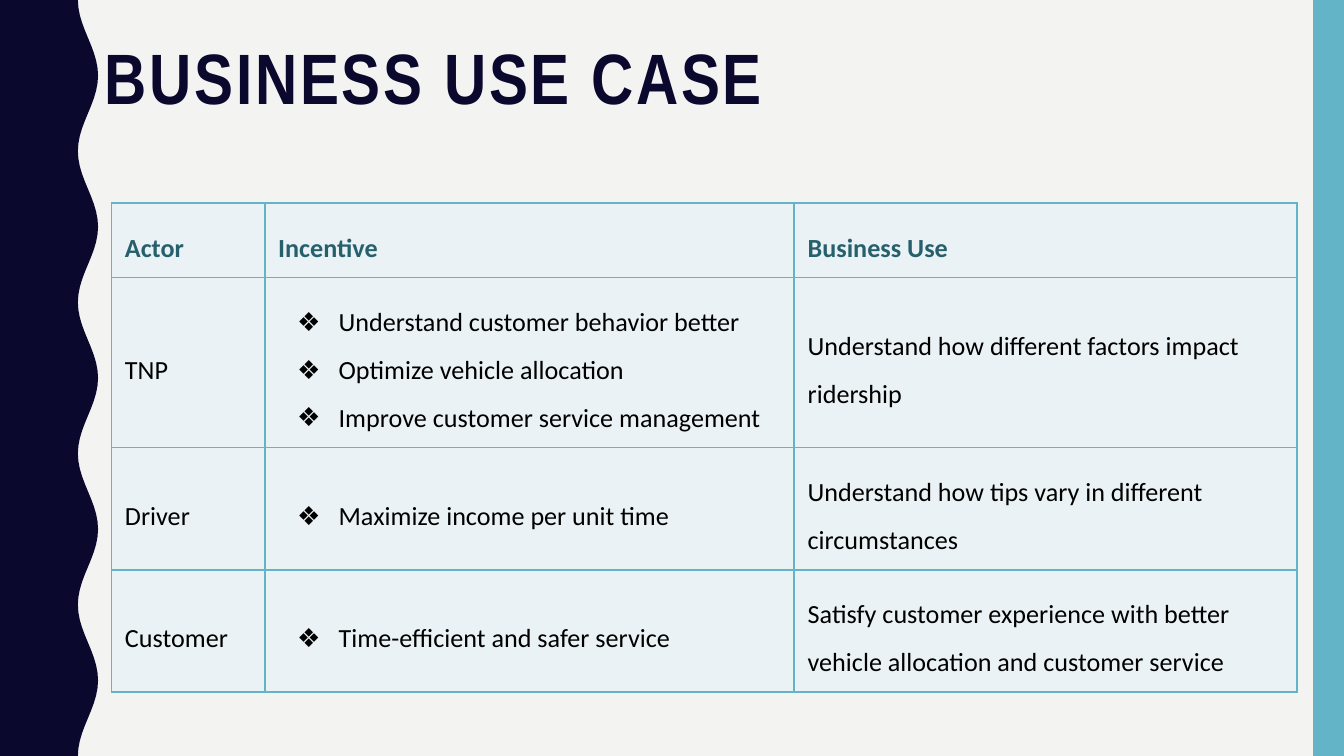
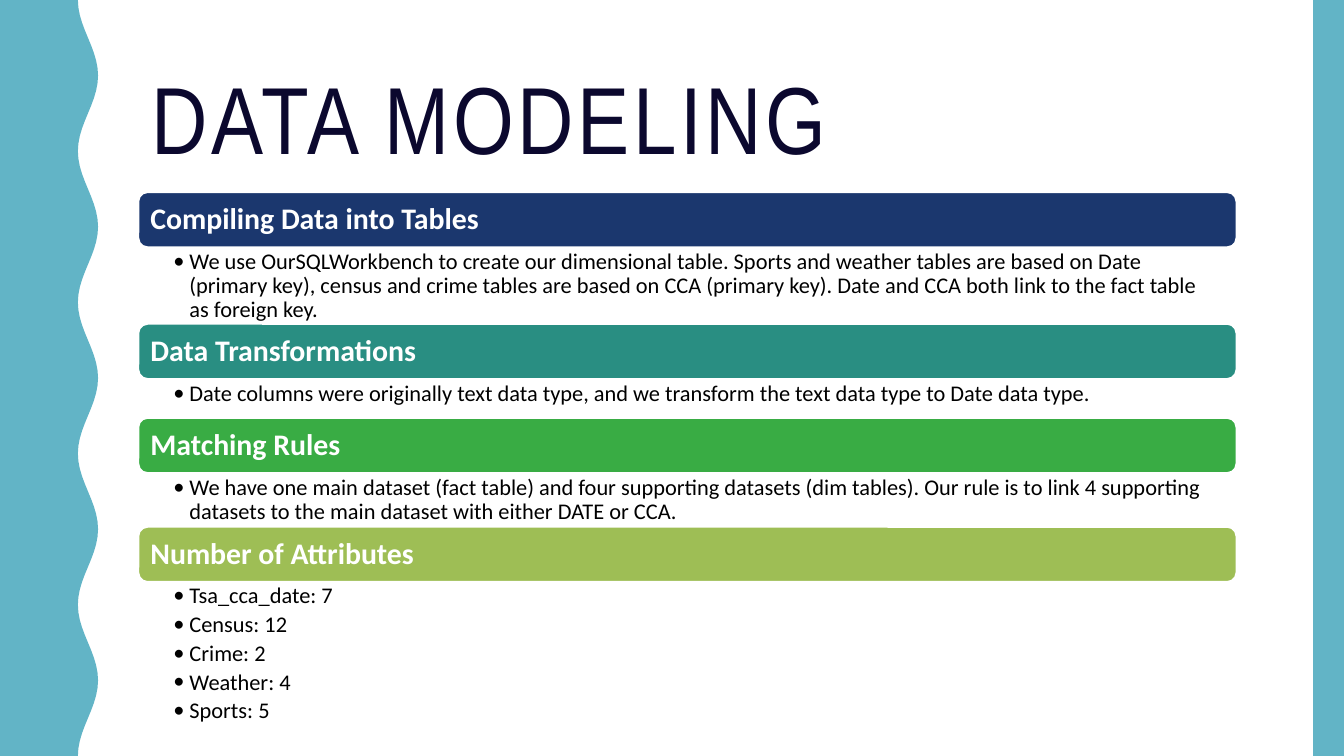
"""Build two slides: a business use case table and a data modeling outline."""
from math import cos, pi

from lxml import etree
from pptx import Presentation
from pptx.dml.color import RGBColor
from pptx.enum.shapes import MSO_SHAPE
from pptx.enum.text import MSO_ANCHOR, MSO_AUTO_SIZE, PP_ALIGN
from pptx.oxml.ns import qn
from pptx.util import Inches, Pt

RECTANGLE = MSO_SHAPE.RECTANGLE
ROUNDED = MSO_SHAPE.ROUNDED_RECTANGLE
TOP = MSO_ANCHOR.TOP
MIDDLE = MSO_ANCHOR.MIDDLE
LEFT = PP_ALIGN.LEFT
NO_AUTOFIT = MSO_AUTO_SIZE.NONE

COLORS = {
    "navy": "0B082E", "aqua": "62B4C6", "paper": "F3F3F2", "white": "FFFFFF",
    "black": "000000", "cell": "EAF2F5", "header": "27606D",
    "blue": "1B376E", "teal": "298E82", "green": "39AC44", "olive": "9EBE55",
}
TITLE_FONT = "Arial Narrow"
BODY_FONT = "Calibri"
SLIDE_WIDTH = 10
SLIDE_HEIGHT = SLIDE_WIDTH * 9 / 16
TITLE_ONLY_LAYOUT = 5
STRIP_WIDTH = 0.23
WAVE_INNER, WAVE_OUTER, WAVE_COUNT, WAVE_STEPS = 0.58, 0.73, 5, 20

TABLE_LEFT, TABLE_TOP = 0.83, 1.51
COLUMN_WIDTHS = [1.14, 3.94, 3.74]
ROW_HEIGHTS = [0.55, 1.26, 0.91, 0.91]
TABLE_HEADER = ["Actor", "Incentive", "Business Use"]
USE_CASES = [
    ("TNP",
     ["Understand customer behavior better", "Optimize vehicle allocation",
      "Improve customer service management"],
     "Understand how different factors impact ridership"),
    ("Driver", ["Maximize income per unit time"],
     "Understand how tips vary in different circumstances"),
    ("Customer", ["Time-efficient and safer service"],
     "Satisfy customer experience with better vehicle allocation and customer service"),
]

SECTION_LEFT, SECTION_TOP, SECTION_WIDTH, BAR_HEIGHT = 1.03, 1.43, 8.17, 0.41
SECTIONS = [
    ("Compiling Data into Tables", "blue", 0.57,
     ["We use OurSQLWorkbench to create our dimensional table. Sports and weather "
      "tables are based on Date (primary key), census and crime tables are based on "
      "CCA (primary key). Date and CCA both link to the fact table as foreign key."]),
    ("Data Transformations", "teal", 0.29,
     ["Date columns were originally text data type, and we transform the text data "
      "type to Date data type."]),
    ("Matching Rules", "green", 0.4,
     ["We have one main dataset (fact table) and four supporting datasets (dim "
      "tables). Our rule is to link 4 supporting datasets to the main dataset with "
      "either DATE or CCA."]),
    ("Number of Attributes", "olive", 1.09,
     ["Tsa_cca_date: 7", "Census: 12", "Crime: 2", "Weather: 4", "Sports: 5"]),
]


def rgb(name):
    """Return the named palette colour."""
    return RGBColor.from_string(COLORS[name])


def fill_shape(shape, color, line=None):
    """Give a shape a flat fill and an optional one-point outline."""
    shape.shadow.inherit = False
    shape.fill.solid()
    shape.fill.fore_color.rgb = rgb(color)
    if line:
        shape.line.color.rgb = rgb(line)
        shape.line.width = Pt(1)
    else:
        shape.line.fill.background()


def set_margins(text_frame, left, top, right, bottom):
    """Set the four insets of a text frame in inches."""
    text_frame.margin_left, text_frame.margin_top = Inches(left), Inches(top)
    text_frame.margin_right, text_frame.margin_bottom = Inches(right), Inches(bottom)


def write_text(text_frame, lines, size, color, spacing, bold=False, font=BODY_FONT):
    """Write one left-aligned paragraph per line and format its runs."""
    text_frame.word_wrap = True
    text_frame.text = "\n".join(lines)
    for paragraph in text_frame.paragraphs:
        paragraph.alignment = LEFT
        paragraph.line_spacing = spacing
        for run in paragraph.runs:
            run.font.name = font
            run.font.size = Pt(size)
            run.font.bold = bold
            run.font.color.rgb = rgb(color)


def add_bullets(text_frame, character, margin, hanging):
    """Put a hanging bullet before every paragraph."""
    for paragraph in text_frame.paragraphs:
        properties = paragraph._p.get_or_add_pPr()
        properties.set("marL", str(Inches(margin)))
        properties.set("indent", str(-Inches(hanging)))
        etree.SubElement(properties, qn("a:buFont"), typeface=BODY_FONT)
        etree.SubElement(properties, qn("a:buChar"), char=character)


def add_wave(slide, color):
    """Draw the left band with its wavy right edge."""
    last = WAVE_COUNT * WAVE_STEPS
    center, depth = (WAVE_INNER + WAVE_OUTER) / 2, (WAVE_OUTER - WAVE_INNER) / 2
    edge = []
    for step in range(last + 1):
        offset = depth * cos(2 * pi * step / WAVE_STEPS)
        edge.append((Inches(center - offset), Inches(SLIDE_HEIGHT * step / last)))
    builder = slide.shapes.build_freeform(0, 0)
    builder.add_line_segments(edge + [(0, Inches(SLIDE_HEIGHT))], close=True)
    fill_shape(builder.convert_to_shape(), color)


def add_themed_slide(presentation, background, wave_color):
    """Add a slide with its background, wavy band and right strip."""
    slide = presentation.slides.add_slide(presentation.slide_layouts[TITLE_ONLY_LAYOUT])
    slide.background.fill.solid()
    slide.background.fill.fore_color.rgb = rgb(background)
    add_wave(slide, wave_color)
    strip = slide.shapes.add_shape(
        RECTANGLE, Inches(SLIDE_WIDTH - STRIP_WIDTH), 0,
        Inches(STRIP_WIDTH), Inches(SLIDE_HEIGHT))
    fill_shape(strip, "aqua")
    return slide


def set_title(slide, text, box, size, tracking, anchor, inset, bold=False):
    """Place and format the title placeholder."""
    title = slide.shapes.title
    title.left, title.top, title.width, title.height = map(Inches, box)
    text_frame = title.text_frame
    text_frame.auto_size = NO_AUTOFIT
    text_frame.vertical_anchor = anchor
    set_margins(text_frame, 0.1, inset, 0.1, inset)
    write_text(text_frame, [text], size, "navy", 0.9, bold, TITLE_FONT)
    for run in text_frame.paragraphs[0].runs:
        run.font._element.set("spc", str(int(tracking * 100)))


def add_borders(cell, color):
    """Draw a one-point line on all four sides of a cell."""
    properties = cell._tc.get_or_add_tcPr()
    for side in ("lnL", "lnR", "lnT", "lnB"):
        line = etree.SubElement(properties, qn(f"a:{side}"), w=str(Pt(1)))
        fill = etree.SubElement(line, qn("a:solidFill"))
        etree.SubElement(fill, qn("a:srgbClr"), val=COLORS[color])


def fill_cell(cell, content, is_header):
    """Write a cell; a list becomes bullets and a string plain text."""
    add_borders(cell, "aqua")
    cell.fill.solid()
    cell.fill.fore_color.rgb = rgb("cell")
    set_margins(cell, 0.1, 0.1, 0.1, 0.1)
    cell.vertical_anchor = TOP if is_header else MIDDLE
    is_list = isinstance(content, list)
    lines = content if is_list else [content]
    color = "header" if is_header else "black"
    write_text(cell.text_frame, lines, 14, color, 1.5, is_header)
    if is_list:
        add_bullets(cell.text_frame, "❖", 0.45, 0.31)


def add_use_case_table(slide):
    """Add the table of actors, incentives and business uses."""
    rows = [TABLE_HEADER, *USE_CASES]
    table = slide.shapes.add_table(
        len(rows), len(COLUMN_WIDTHS), Inches(TABLE_LEFT), Inches(TABLE_TOP),
        Inches(sum(COLUMN_WIDTHS)), Inches(sum(ROW_HEIGHTS))).table
    table.horz_banding = False
    for column, width in zip(table.columns, COLUMN_WIDTHS):
        column.width = Inches(width)
    for row, height in zip(table.rows, ROW_HEIGHTS):
        row.height = Inches(height)
    for row_index, row in enumerate(rows):
        for column_index, content in enumerate(row):
            fill_cell(table.cell(row_index, column_index), content, row_index == 0)


def add_section(slide, top, heading, color, list_height, points):
    """Add a heading bar with its bullets and return the bottom edge."""
    left, width = Inches(SECTION_LEFT), Inches(SECTION_WIDTH)
    bar = slide.shapes.add_shape(ROUNDED, left, Inches(top), width, Inches(BAR_HEIGHT))
    fill_shape(bar, color, "white")
    bar.text_frame.vertical_anchor = MIDDLE
    set_margins(bar.text_frame, 0.07, 0.07, 0.07, 0.07)
    write_text(bar.text_frame, [heading], 16, "white", 0.9, True)

    list_top = top + BAR_HEIGHT
    text_frame = slide.shapes.add_textbox(
        left, Inches(list_top), width, Inches(list_height)).text_frame
    set_margins(text_frame, 0.26, 0.02, 0.12, 0.02)
    write_text(text_frame, points, 12, "black", 0.9)
    for paragraph in text_frame.paragraphs:
        paragraph.level = 1
        paragraph.space_after = Pt(2.4)
    add_bullets(text_frame, "•", 0.12, 0.12)
    return list_top + list_height


def main():
    """Build both slides and save the presentation."""
    presentation = Presentation()
    presentation.slide_width = Inches(SLIDE_WIDTH)
    presentation.slide_height = Inches(SLIDE_HEIGHT)

    use_case = add_themed_slide(presentation, "paper", "navy")
    set_title(use_case, "BUSINESS USE CASE", (0.68, 0.22, 9.32, 0.63),
              38.2, 1.5, TOP, 0.1, True)
    add_use_case_table(use_case)

    modeling = add_themed_slide(presentation, "white", "aqua")
    set_title(modeling, "DATA MODELING", (1.03, 0.31, 8.35, 1.22),
              51, 2, MIDDLE, 0.05)
    top = SECTION_TOP
    for section in SECTIONS:
        top = add_section(modeling, top, *section)

    presentation.save("out.pptx")


if __name__ == "__main__":
    main()
